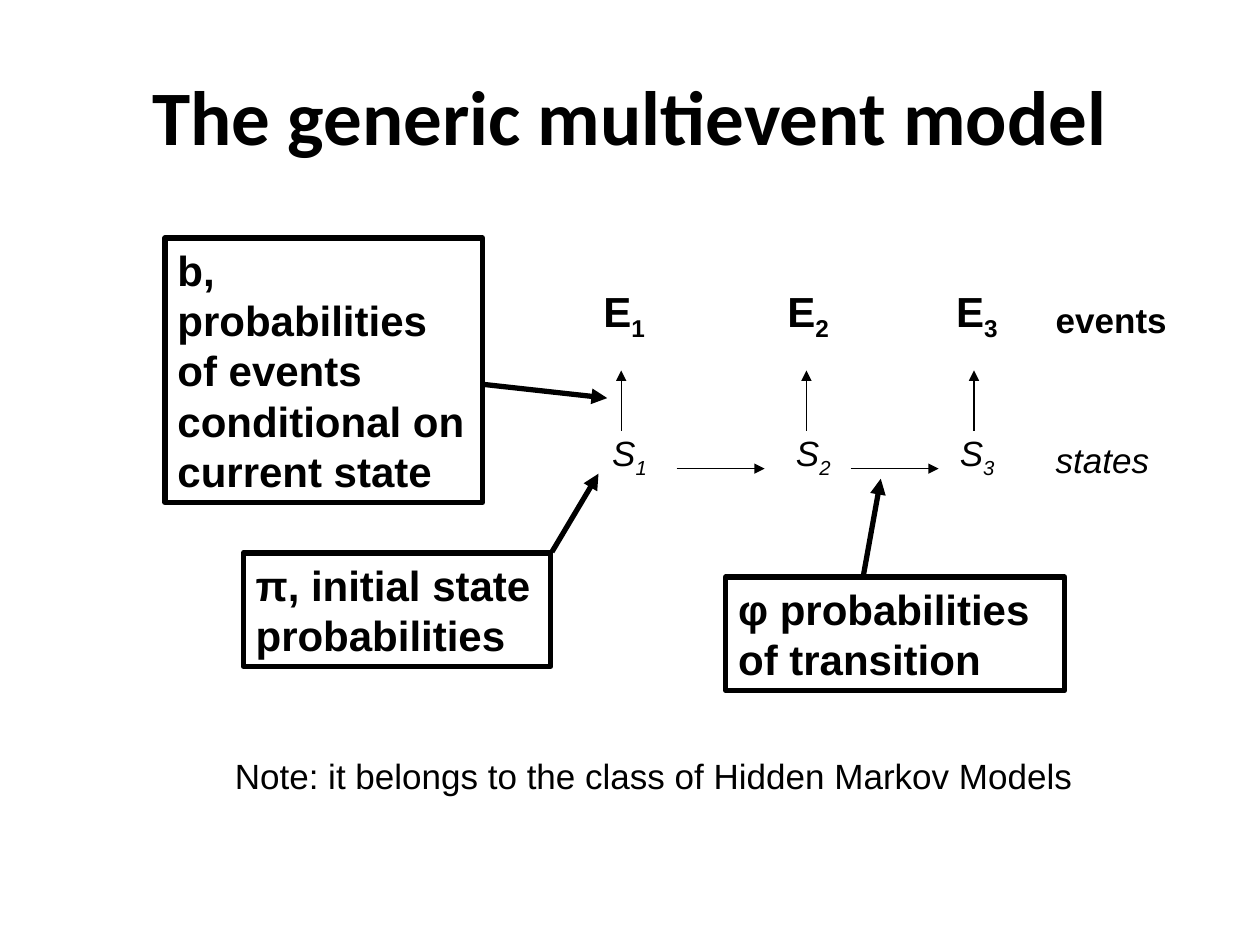
"""Build the slide on the generic multievent model."""
from dataclasses import dataclass

from lxml import etree
from pptx import Presentation
from pptx.dml.color import RGBColor
from pptx.enum import shapes, text
from pptx.oxml import ns
from pptx.util import Pt


@dataclass(frozen=True)
class Theme:
    ink: RGBColor = RGBColor(0, 0, 0)
    title_font: str = "Calibri"
    body_font: str = "Arial"
    title_size: float = 44
    large: float = 24
    small: float = 20
    thin: float = 0.75
    thick: float = 3
    leading: float = 1.2
    subscript: str = "-25000"


THEME = Theme()
TITLE = ("The generic multievent model", (54, 31.7, 612, 67.7))
NOTE = ("Note: it belongs to the class of Hidden Markov Models", (78.5, 427.7, 590.4, 31.7))

# index, arrow x, event left and width, state left and width
STEPS = [
    ("1", 355, (337.7, 59.8), (342.7, 50.4)),
    ("2", 460.8, (442.8, 65.5), (447.8, 45.4)),
    ("3", 556.6, (539.3, 49.7), (541.4, 55.4)),
]
EVENT_TOP, EVENT_HEIGHT = 163.4, 40.3
STATE_TOP, STATE_HEIGHT = 246.2, 34.6
EMISSION_TOP = 211.7
TRANSITION_Y, TRANSITION_LENGTH = 267.8, 50.4
TRANSITION_STARTS = [386.6, 486]
ROW_NAMES = [
    ("events", (596.2, 167, 84.2, 31.7), {"bold": True}),
    ("states", (596.2, 247, 84.2, 31.7), {"italic": True}),
]
PARAMETERS = [
    ("b, probabilities of events conditional on current state",
     (94.3, 136, 181.4, 151.2), ((275.8, 219.6), (347, 227.5))),
    ("π, initial state probabilities",
     (139, 316, 175.7, 64.8), ((315.4, 315.4), (342, 270.7))),
    ("φ probabilities of transition",
     (414.7, 329.8, 193.7, 64.8), ((493.2, 329.8), (503.3, 273.6))),
]


def write(shape, words, sub="", size=THEME.small, font=THEME.body_font, bold=False,
          italic=False, align=text.PP_ALIGN.LEFT, anchor=text.MSO_ANCHOR.TOP,
          before=0, leading=THEME.leading):
    frame = shape.text_frame
    frame.word_wrap = True
    frame.vertical_anchor = anchor
    paragraph = frame.paragraphs[0]
    paragraph.alignment = align
    paragraph.space_before = Pt(before)
    if leading:
        paragraph.line_spacing = Pt(size * leading)
    for part in filter(None, (words, sub)):
        run = paragraph.add_run()
        run.text = part
        run.font.name, run.font.size = font, Pt(size)
        run.font.bold, run.font.italic = bold, italic
        run.font.color.rgb = THEME.ink
    if sub:
        run.font._element.set("baseline", THEME.subscript)


def add_label(slide, words, box, **style):
    write(slide.shapes.add_textbox(*map(Pt, box)), words, **style)


def add_parameter(slide, words, box):
    frame = slide.shapes.add_shape(shapes.MSO_SHAPE.RECTANGLE, *map(Pt, box))
    frame.shadow.inherit = False
    frame.fill.background()
    frame.line.color.rgb = THEME.ink
    frame.line.width = Pt(THEME.thick)
    write(frame, words, size=THEME.large, bold=True, before=15)


def add_arrow(slide, start, end, width=THEME.thin):
    arrow = slide.shapes.add_connector(
        shapes.MSO_CONNECTOR.STRAIGHT, *map(Pt, (*start, *end)))
    arrow.line.color.rgb = THEME.ink
    arrow.line.width = Pt(width)
    etree.SubElement(arrow.line._get_or_add_ln(), ns.qn("a:tailEnd"), type="triangle")
    etree.SubElement(arrow._element.spPr, ns.qn("a:effectLst"))


def main():
    deck = Presentation()
    deck.slide_width, deck.slide_height = Pt(720), Pt(540)
    slide = deck.slides.add_slide(deck.slide_layouts[5])

    words, box = TITLE
    title = slide.shapes.title
    title.left, title.top, title.width, title.height = map(Pt, box)
    write(title, words, size=THEME.title_size, font=THEME.title_font, bold=True,
          align=text.PP_ALIGN.CENTER, anchor=text.MSO_ANCHOR.MIDDLE, leading=None)

    for index, x, (event_left, event_width), (state_left, state_width) in STEPS:
        add_label(slide, "E", (event_left, EVENT_TOP, event_width, EVENT_HEIGHT),
                  sub=index, size=THEME.large, bold=True, before=15)
        add_label(slide, "S", (state_left, STATE_TOP, state_width, STATE_HEIGHT),
                  sub=index, italic=True, before=12.5)
        add_arrow(slide, (x, STATE_TOP), (x, EMISSION_TOP))
    for x in TRANSITION_STARTS:
        add_arrow(slide, (x, TRANSITION_Y), (x + TRANSITION_LENGTH, TRANSITION_Y))

    for words, box, (start, end) in PARAMETERS:
        add_parameter(slide, words, box)
        add_arrow(slide, start, end, THEME.thick)
    for words, box, style in ROW_NAMES:
        add_label(slide, words, box, **style)
    words, box = NOTE
    add_label(slide, words, box, align=text.PP_ALIGN.CENTER)

    deck.save("out.pptx")


if __name__ == "__main__":
    main()
